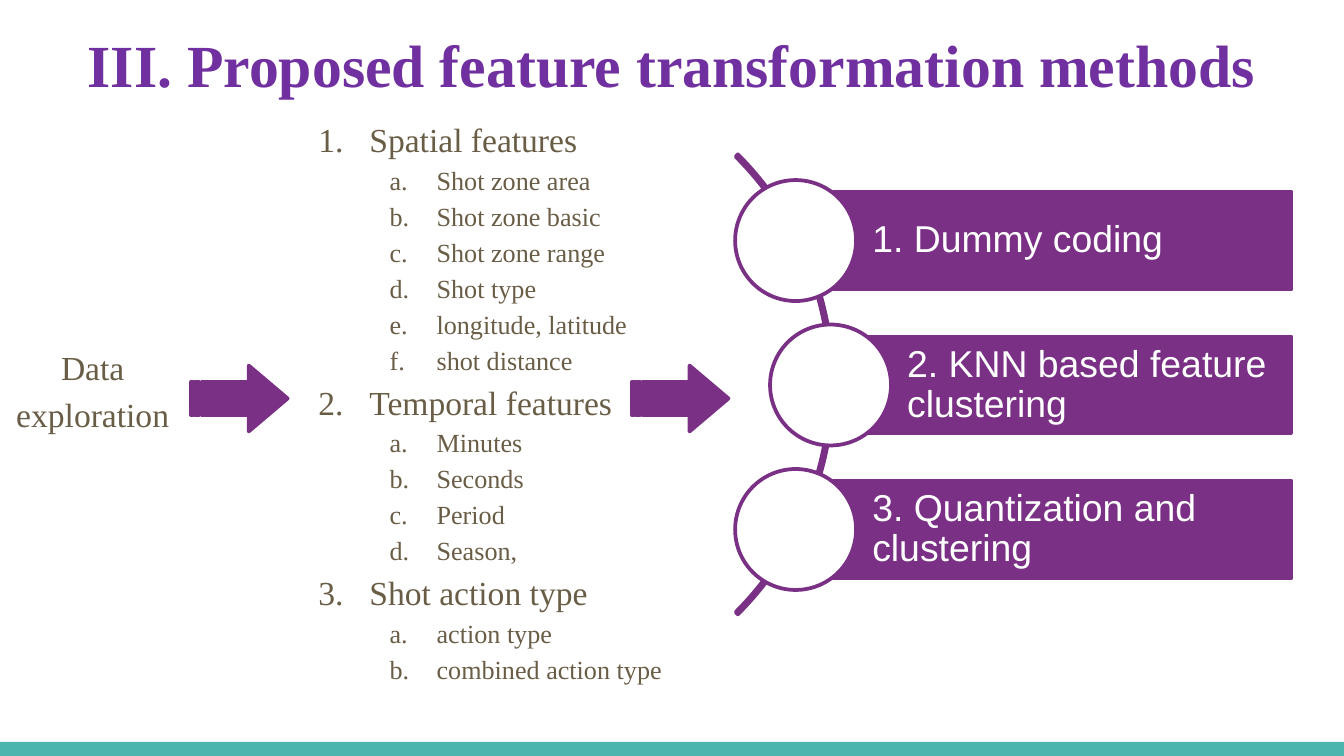
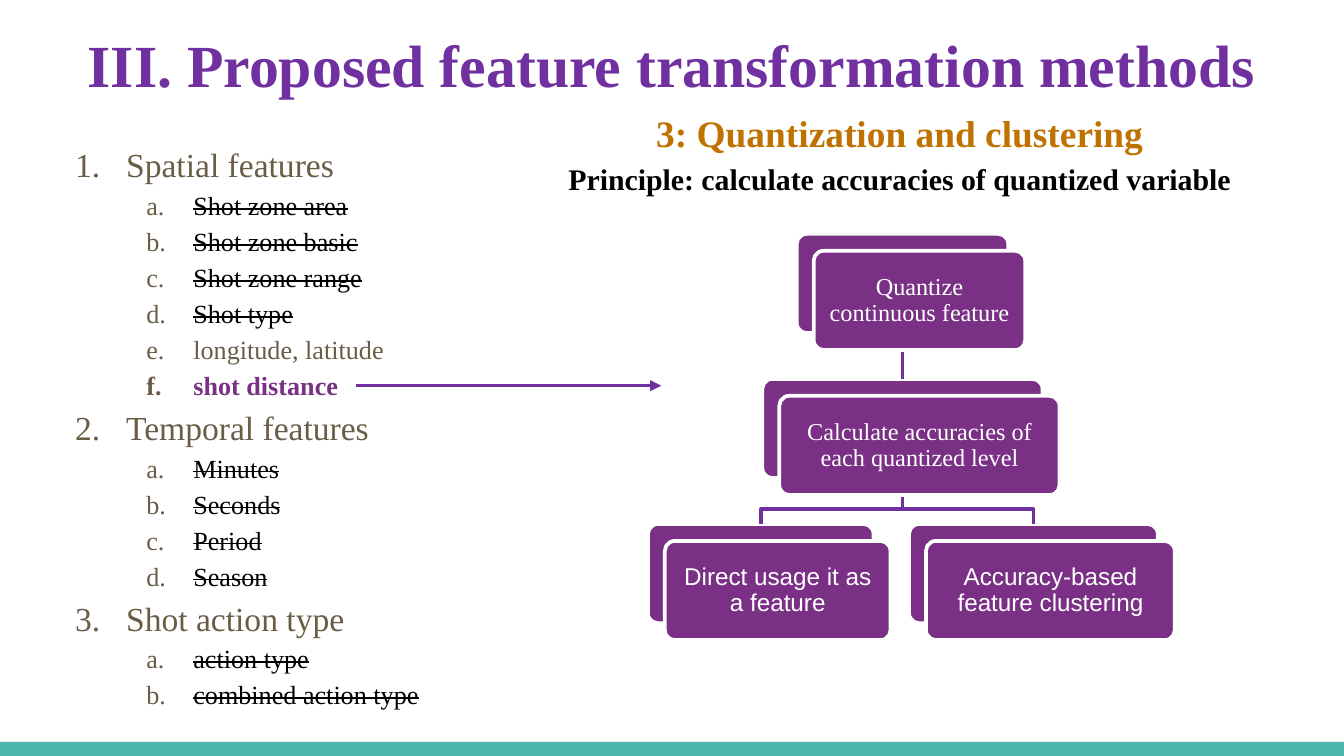
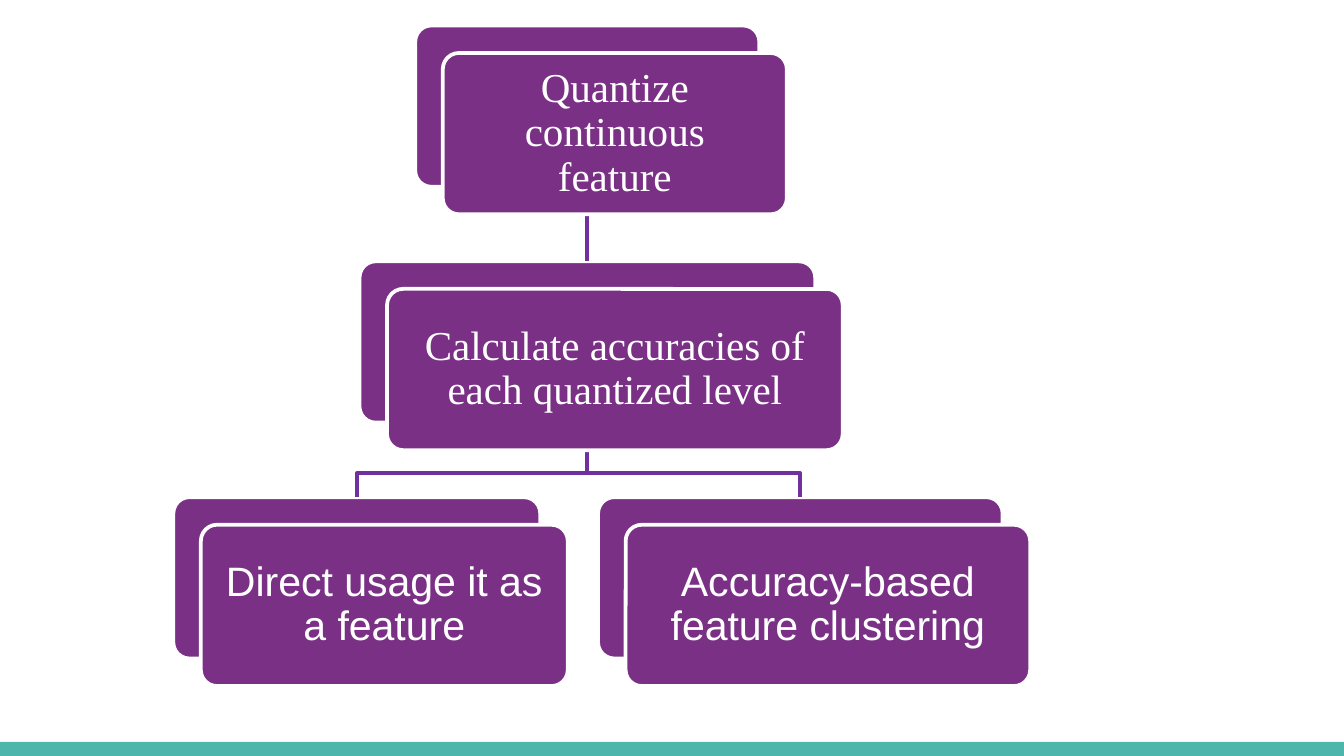
import pptx
import pptx.util
import pptx.dml.color
import pptx.enum.shapes
import pptx.enum.text
import pptx.oxml.ns
from lxml import etree

RGB = pptx.dml.color.RGBColor
KIND = pptx.enum.shapes.MSO_SHAPE
ALIGN = pptx.enum.text.PP_ALIGN
ANCHOR = pptx.enum.text.MSO_ANCHOR

PLUM = RGB(0x79, 0x30, 0x85)
VIOLET = RGB(0x70, 0x30, 0xA0)
TEAL = RGB(0x4D, 0xB6, 0xAC)
BROWN = RGB(0x69, 0x5D, 0x46)
AMBER = RGB(0xBF, 0x72, 0x00)
BLACK = RGB(0, 0, 0)
WHITE = RGB(0xFF, 0xFF, 0xFF)
SERIF = "Times New Roman"
SANS = "Arial"

WIDTH = pptx.util.Inches(10)
HEIGHT = pptx.util.Inches(5.625)
COLS = 100
ROWS = 56.25

HEADING = "III. Proposed feature transformation methods"
TOPICS = {
    "Spatial features": ["Shot zone area", "Shot zone basic", "Shot zone range",
                         "Shot type", "longitude, latitude", "shot distance"],
    "Temporal features": ["Minutes", "Seconds", "Period", "Season"],
    "Shot action type": ["action type", "combined action type"],
}
METHODS = ["1. Dummy coding", "2. KNN based feature clustering",
           "3. Quantization and clustering"]
CARDS = [
    ("Quantize continuous feature", SERIF, 0, 0, 25.6),
    ("Calculate accuracies of each quantized level", SERIF, 0, 1, 33.9),
    ("Direct usage it as a feature", SANS, -17.15, 2, 27.3),
    ("Accuracy-based feature clustering", SANS, 15.85, 2, 30.1),
]


def add(parent, tag, **attrs):
    return etree.SubElement(parent, pptx.oxml.ns.qn(tag), **attrs)


def write(frame, lines, inset=(1, 1, 1, 1), anchor=ANCHOR.TOP, **base):
    frame.word_wrap = True
    frame.vertical_anchor = anchor
    frame.margin_left, frame.margin_top, frame.margin_right, frame.margin_bottom = (
        pptx.util.Inches(side / 10) for side in inset)
    for i, (text, own) in enumerate(lines):
        form = {"size": 18, "font": SERIF, "color": BROWN, "align": ALIGN.LEFT,
                "space": 1, **base, **own}
        para = frame.paragraphs[0] if i == 0 else frame.add_paragraph()
        para.alignment = form["align"]
        para.line_spacing = form["space"]
        if "mark" in form:
            para.level = form["level"]
            props = para._p.get_or_add_pPr()
            left, hang = form["indent"]
            props.set("marL", str(pptx.util.Inches(left)))
            props.set("indent", str(-pptx.util.Inches(hang)))
            add(add(props, "a:buClr"), "a:srgbClr", val=str(BROWN))
            add(props, "a:buAutoNum", type=form["mark"])
        run = para.add_run()
        run.text = text
        run.font.size = pptx.util.Pt(form["size"])
        run.font.name = form["font"]
        run.font.bold = form.get("bold", False)
        run.font.color.rgb = form["color"]
        if form.get("strike"):
            run._r.get_or_add_rPr().set("strike", "sngStrike")


class Deck:
    def __init__(self):
        self.show = pptx.Presentation()
        self.show.slide_width, self.show.slide_height = WIDTH, HEIGHT

    def page(self, title=None):
        self.shapes = self.show.slides.add_slide(self.show.slide_layouts[6]).shapes
        self.shape(KIND.RECTANGLE, 0, 55.2, COLS, ROWS - 55.2, TEAL)
        if title:
            self.text([(title, {})], 3.4, 0.9, 93.2, 7.7, size=32, color=VIOLET,
                      bold=True, align=ALIGN.CENTER, anchor=ANCHOR.MIDDLE)

    def spot(self, col, row):
        return round(col * WIDTH / COLS), round(row * HEIGHT / ROWS)

    def stroke(self, item, color, weight):
        item.line.color.rgb = color
        item.line.width = pptx.util.Pt(weight)

    def shape(self, kind, x, y, w, h, fill, line=None, adjust=()):
        item = self.shapes.add_shape(kind, *self.spot(x, y), *self.spot(w, h))
        item.shadow.inherit = False
        item.fill.solid()
        item.fill.fore_color.rgb = fill
        if line is None:
            item.line.fill.background()
        else:
            self.stroke(item, line, 2)
        for i, value in enumerate(adjust):
            item.adjustments[i] = value
        return item

    def text(self, lines, x, y, w, h, **form):
        box = self.shapes.add_textbox(*self.spot(x, y), *self.spot(w, h))
        write(box.text_frame, lines, **form)

    def line(self, start, end, weight, head=False):
        link = self.shapes.add_connector(
            pptx.enum.shapes.MSO_CONNECTOR.STRAIGHT, *self.spot(*start), *self.spot(*end))
        self.stroke(link, VIOLET, weight)
        if head:
            add(link.line._get_or_add_ln(), "a:tailEnd", type="triangle")
        add(link._element.spPr, "a:effectLst")
        return link

    def bend(self, points):
        spots = [self.spot(*point) for point in points]
        path = self.shapes.build_freeform(*spots[0])
        path.add_line_segments(spots[1:], close=False)
        item = path.convert_to_shape()
        item.shadow.inherit = False
        item.fill.background()
        self.stroke(item, VIOLET, 2)

    def arrow(self, x, y):
        self.shape(KIND.STRIPED_RIGHT_ARROW, x, y, 7.2, 4.9, PLUM, PLUM, (0.5, 0.59))

    def outline(self, x, y, w, h, style):
        lines = []
        for topic, parts in TOPICS.items():
            lines.append((topic, dict(level=0, indent=(0.5, 0.38), mark="arabicPeriod")))
            for part in parts:
                text, form = style(part)
                lines.append((text, dict(level=1, indent=(1, 0.35), size=14,
                                         mark="alphaLcPeriod", **form)))
        self.text(lines, x, y, w, h, space=1.15)

    def method(self, text, x, y):
        bar = self.shape(KIND.RECTANGLE, x, y, 96.1 - x, 7.2, PLUM, PLUM)
        write(bar.text_frame, [(text, {})], size=20, font=SANS, color=WHITE, space=0.9,
              inset=(5.7, 0.6, 0.6, 0.6), anchor=ANCHOR.MIDDLE)
        self.shape(KIND.OVAL, x - 4.5, y - 0.9, 9, 9, WHITE, PLUM)

    def tree(self, x, y, scale, size):
        tall, step, shift = 12 * scale, 17.55 * scale, 2.05 * scale
        places = [(x + (mid - wide / 2) * scale, y + level * step, wide * scale)
                  for _, _, mid, level, wide in CARDS]

        def card(left, top, wide):
            return self.shape(KIND.ROUNDED_RECTANGLE, left, top, wide, tall,
                              PLUM, WHITE, (0.1,))

        backs = [card(*place) for place in places]
        link = self.line((x, y + tall), (x, y + step), 2)
        link.begin_connect(backs[0], 2)
        link.end_connect(backs[1], 0)
        foot, top = y + step + tall, y + 2 * step
        turn = foot + (top - foot) * 0.68
        for _, _, mid, _, _ in CARDS[2:]:
            end = x + mid * scale
            self.bend([(x, foot), (x, turn), (end, turn), (end, top)])
        for (text, font, *_), (left, top, wide) in zip(CARDS, places):
            front = card(left + shift, top + shift, wide)
            write(front.text_frame, [(text, {})], size=size, font=font, color=WHITE,
                  align=ALIGN.CENTER, space=0.9, inset=[1.2 * scale] * 4,
                  anchor=ANCHOR.MIDDLE)


def plain(part):
    return ("Season," if part == "Season" else part), {}


def chosen(part):
    if part == "longitude, latitude":
        return part, {}
    if part == "shot distance":
        return part, {"color": PLUM, "bold": True}
    return part, {"color": BLACK, "strike": True}


def main():
    deck = Deck()

    deck.page(HEADING)
    deck.outline(21.5, 7.4, 29.1, 44.4, plain)
    deck.arrow(47, 27.2)
    deck.shape(KIND.BLOCK_ARC, 13.6, 4.4, 48.4, 48.4, PLUM, PLUM, (189, 27, 0.005))
    for i, text in enumerate(METHODS):
        deck.method(text, 59.2 + 2.6 * (i % 2), 14.3 + 10.75 * i)
    deck.text([("Data", {}), ("exploration", {})], -1.2, 24.4, 16.2, 10.3,
              align=ALIGN.CENTER, space=1.15)
    deck.arrow(14.2, 27.2)

    deck.page(HEADING)
    deck.outline(3.4, 9.3, 32.8, 44.4, chosen)
    deck.tree(67.15, 17.4, 0.615, 13)
    deck.text([("3: Quantization and clustering", {"size": 20, "color": AMBER}),
               ("Principle: calculate accuracies of quantized variable",
                {"size": 16, "color": BLACK})],
              36.7, 6.7, 60.5, 8.4, bold=True, align=ALIGN.CENTER, space=1.15)
    deck.line((26.5, 28.7), (49.2, 28.7), 1.5, head=True)

    deck.page()
    deck.tree(43.7, 1.9, 1, 22)

    deck.show.save("out.pptx")


if __name__ == "__main__":
    main()
